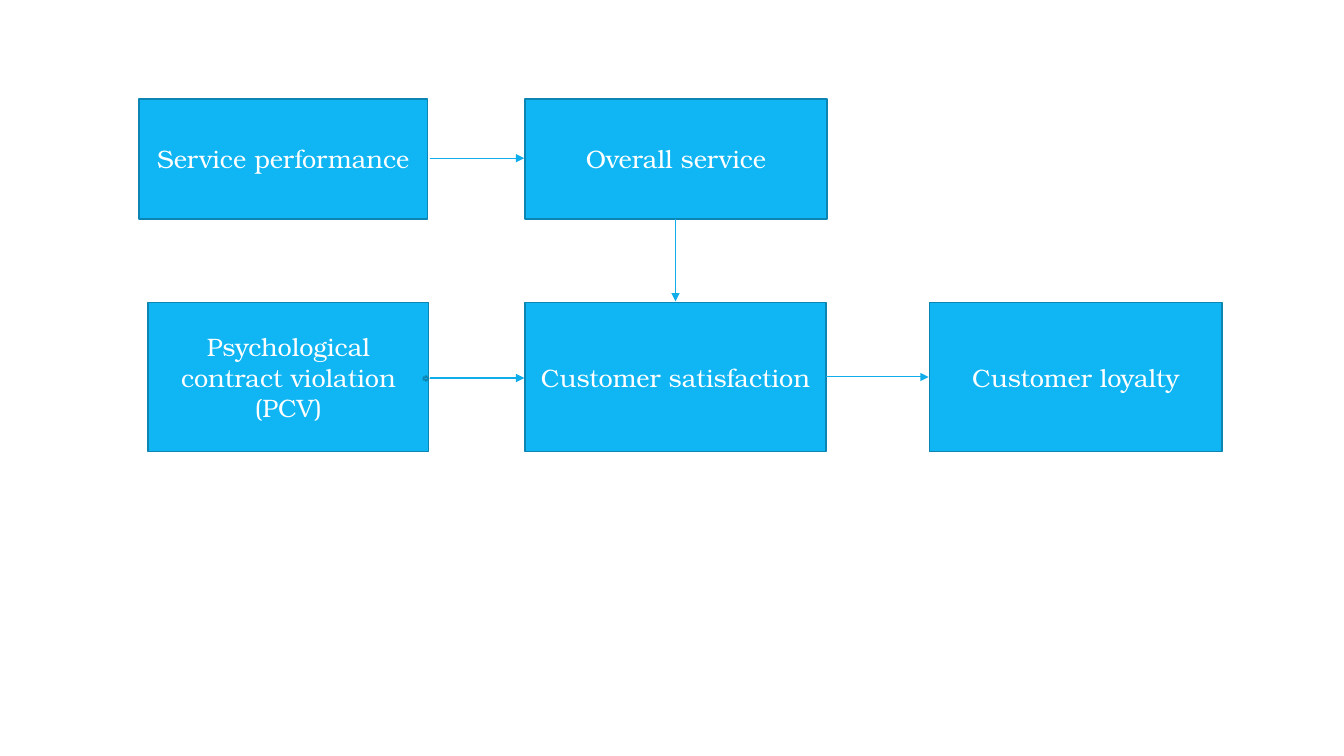
from dataclasses import dataclass

from lxml import etree
from pptx import Presentation
from pptx.dml.color import RGBColor
from pptx.enum.shapes import MSO_CONNECTOR, MSO_SHAPE
from pptx.enum.text import MSO_ANCHOR, PP_ALIGN
from pptx.oxml.ns import qn
from pptx.shapes.autoshape import Shape
from pptx.slide import Slide
from pptx.util import Emu, Pt

RECTANGLE = MSO_SHAPE.RECTANGLE
RIGHT_ARROW = MSO_SHAPE.RIGHT_ARROW
STRAIGHT = MSO_CONNECTOR.STRAIGHT
MIDDLE = MSO_ANCHOR.MIDDLE
CENTER = PP_ALIGN.CENTER

PX_PER_INCH = 100
EMU_PER_PX = 914400 // PX_PER_INCH
FONT = "TeX Gyre Bonum"
COLORS = {
    "fill": "10B6F4",
    "border": "0C85B2",
    "arrow": "0FADE9",
    "text": "FFFFFF",
}
TOP_ROW = (98, 119)
BOTTOM_ROW = (300, 148)


@dataclass(frozen=True)
class Block:
    text: str
    left: int
    width: int
    row: tuple[int, int]


@dataclass(frozen=True)
class Arrow:
    x1: int
    y1: int
    x2: int
    y2: int


BLOCKS = [
    Block("Psychological contract violation (PCV)", 147, 278, BOTTOM_ROW),
    Block("Customer satisfaction", 521, 298, BOTTOM_ROW),
    Block("Customer loyalty", 922, 290, BOTTOM_ROW),
    Block("Service performance", 138, 286, TOP_ROW),
    Block("Overall service", 521, 299, TOP_ROW),
]
ARROWS = [
    Arrow(426, 375, 520, 375),
    Arrow(819, 374, 921, 374),
    Arrow(426, 157, 520, 157),
    Arrow(670, 217, 670, 299),
]


def px(value: int) -> Emu:
    return Emu(value * EMU_PER_PX)


def color(name: str) -> RGBColor:
    return RGBColor.from_string(COLORS[name])


def add_filled_shape(page: Slide, kind: MSO_SHAPE, left: int, top: int,
                     width: int, height: int) -> Shape:
    shape = page.shapes.add_shape(kind, px(left), px(top), px(width), px(height))
    shape.shadow.inherit = False
    shape.fill.solid()
    shape.fill.fore_color.rgb = color("fill")
    shape.line.color.rgb = color("border")
    shape.line.width = Pt(1.25)
    return shape


def add_block(page: Slide, block: Block) -> None:
    top, height = block.row
    box = add_filled_shape(page, RECTANGLE, block.left, top, block.width, height)
    frame = box.text_frame
    frame.word_wrap = True
    frame.vertical_anchor = MIDDLE
    frame.margin_left = frame.margin_right = px(5)
    frame.margin_top = frame.margin_bottom = px(5)
    frame.text = block.text
    para = frame.paragraphs[0]
    para.alignment = CENTER
    para.font.name = FONT
    para.font.size = Pt(18)
    para.font.color.rgb = color("text")


def add_arrow(page: Slide, arrow: Arrow) -> None:
    connector = page.shapes.add_connector(
        STRAIGHT, px(arrow.x1), px(arrow.y1), px(arrow.x2), px(arrow.y2))
    connector.line.color.rgb = color("arrow")
    connector.line.width = Pt(0.75)
    properties = connector._element.spPr
    etree.SubElement(properties.find(qn("a:ln")), qn("a:tailEnd"), type="triangle")
    etree.SubElement(properties, qn("a:effectLst"))


def main() -> None:
    deck = Presentation()
    deck.slide_width = px(1333)
    deck.slide_height = px(750)
    page = deck.slides.add_slide(deck.slide_layouts[6])
    for block in BLOCKS:
        add_block(page, block)
    add_filled_shape(page, RIGHT_ARROW, 420, 373, 5, 5)
    for arrow in ARROWS:
        add_arrow(page, arrow)
    deck.save("out.pptx")


if __name__ == "__main__":
    main()
